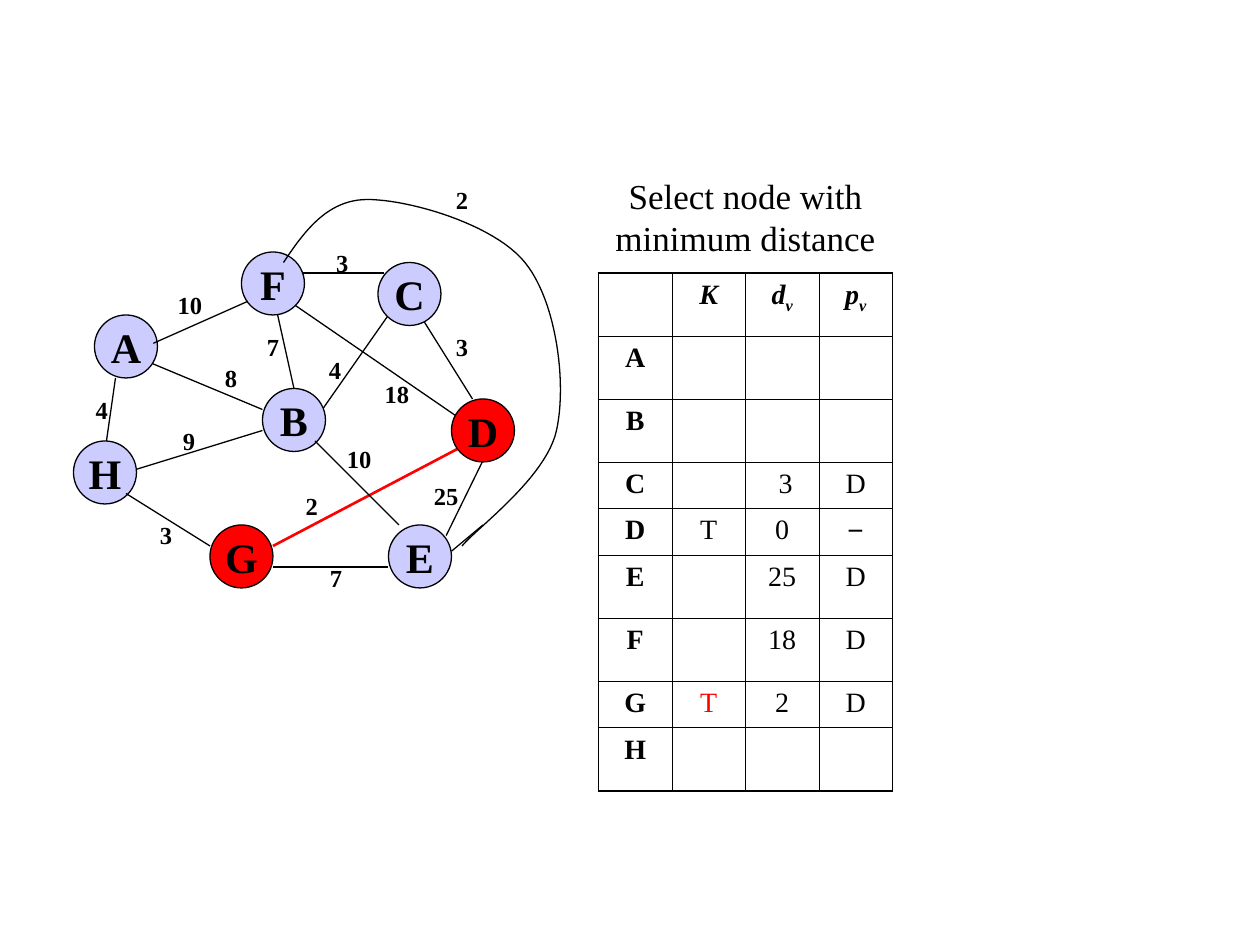
from lxml import etree
from pptx import Presentation
from pptx import util as u
from pptx.dml.color import RGBColor
from pptx.enum import shapes, text
from pptx.oxml.ns import qn

BLACK = RGBColor(0x00, 0x00, 0x00)
RED = RGBColor(0xFF, 0x00, 0x00)
LILAC = RGBColor(0xCC, 0xCC, 0xFF)
SERIF = "Times New Roman"

WIDTH, HEIGHT = u.Inches(10), u.Inches(7.5)
UNIT = WIDTH / 120
NODE = 6
THIN, THICK = 0.45, 1.08

NODES = {
    "A": (9, 30), "H": (7, 42), "B": (25, 37), "F": (23, 24),
    "E": (37, 50), "D": (43, 38), "C": (36, 25), "G": (20, 50),
}
CHOSEN = "DG"
BACK_EDGES = [
    (47.4, 41, 42.5, 51), (26, 28, 28, 37), (30, 40, 37, 30),
    (44, 40, 28, 29), (12, 45, 25, 41), (10, 43, 11, 36),
    (13, 34, 25, 39), (28.5, 26, 36.6, 26), (40, 30, 45, 38),
]
CHOSEN_EDGE = (26, 52, 45, 42)
FRONT_EDGES = [
    (30, 42, 38, 50), (37, 54, 26, 54), (20, 52, 12, 47),
    (14.6, 32.7, 23.6, 28.7), (46, 50, 43, 52.5),
]
WEIGHTS = [
    ("4", 7.7, 37), ("25", 39.4, 45.2), ("7", 30, 53), ("2", 27.7, 46.2),
    ("10", 31.1, 41.7), ("18", 34.7, 35.5), ("3", 42, 31), ("4", 29.9, 33.2),
    ("3", 30.6, 23), ("7", 24, 31), ("8", 20, 34), ("9", 16, 40),
    ("3", 13.8, 48.9), ("10", 15, 27), ("2", 42, 17),
]
CURVE_START = (27, 25)
CURVE = [
    ((29, 22), (31.2, 19), (35, 19)),
    ((38.9, 19), (47, 21.3), (50, 25)),
    ((53, 28.7), (54, 36.5), (53, 41)),
    ((52, 45.5), (45.5, 50.2), (44, 52)),
]
ROWS = [
    ("", "K", "dv", "pv"),
    ("A", "", "", ""),
    ("B", "", "", ""),
    ("C", "", " 3", "D"),
    ("D", "T", "0", "−"),
    ("E", "", "25", "D"),
    ("F", "", "18", "D"),
    ("G", "T", "2", "D"),
    ("H", "", "", ""),
]
SHORT_ROWS = "CDG"


def grid(*values):
    return [u.Emu(round(v * UNIT)) for v in values]


def set_all(obj, values):
    for name, value in values.items():
        setattr(obj, name, value)


def add_run(p, words, size, color=BLACK, name=SERIF, **style):
    r = p.add_run()
    r.text = words
    set_all(r.font, {"size": u.Pt(size), "name": name, **style})
    r.font.color.rgb = color
    return r


def center(p, before):
    set_all(p, {"alignment": text.PP_ALIGN.CENTER, "space_before": u.Pt(before)})


def add_label(s, words, box, size, before, bold):
    tf = s.shapes.add_textbox(*grid(*box)).text_frame
    tf.word_wrap = True
    center(tf.paragraphs[0], before)
    add_run(tf.paragraphs[0], words, size, bold=bold)


def add_node(s, name, x, y):
    sp = s.shapes.add_shape(shapes.MSO_SHAPE.OVAL, *grid(x, y, NODE, NODE))
    sp.shadow.inherit = False
    sp.fill.solid()
    sp.fill.fore_color.rgb = RED if name in CHOSEN else LILAC
    sp.line.color.rgb = BLACK
    sp.line.width = u.Pt(0.75)
    tf = sp.text_frame
    set_all(tf, {"word_wrap": False, "vertical_anchor": text.MSO_ANCHOR.MIDDLE})
    center(tf.paragraphs[0], 6)
    add_run(tf.paragraphs[0], name, 24, bold=True)


def add_edge(s, ends, color=BLACK, width=0.75):
    c = s.shapes.add_connector(shapes.MSO_CONNECTOR.STRAIGHT, *grid(*ends))
    c.line.color.rgb = color
    c.line.width = u.Pt(width)
    etree.SubElement(c._element.spPr, qn("a:effectLst"))


def bezier(a, b, c, d, t):
    k = 1 - t
    return [k**3 * w + 3 * k * k * t * x + 3 * k * t * t * y + t**3 * z
            for w, x, y, z in zip(a, b, c, d)]


def add_curve(s, start, segments, steps=24):
    points, here = [], start
    for b, c, d in segments:
        points += [grid(*bezier(here, b, c, d, i / steps)) for i in range(1, steps + 1)]
        here = d
    builder = s.shapes.build_freeform(*grid(*start))
    builder.add_line_segments(points, close=False)
    sp = builder.convert_to_shape()
    sp.shadow.inherit = False
    sp.fill.background()
    sp.line.color.rgb = BLACK
    sp.line.width = u.Pt(0.75)


def set_borders(cell, widths):
    pr = cell._tc.get_or_add_tcPr()
    for i, (side, width) in enumerate(widths.items()):
        ln = etree.Element(qn(f"a:ln{side}"), w=str(u.Pt(width)))
        fill = etree.SubElement(ln, qn("a:solidFill"))
        etree.SubElement(fill, qn("a:srgbClr"), val=str(BLACK))
        pr.insert(i, ln)


def fill_cell(cell, words, row, col):
    p = cell.text_frame.paragraphs[0]
    center(p, 4)
    if not words:
        etree.SubElement(p._p, qn("a:endParaRPr"), sz="1600")
    elif row == 0:
        add_run(p, words[0], 16, bold=True, italic=True)
        if words[1:]:
            r = add_run(p, words[1:], 16, bold=True, italic=True)
            r.font._element.set("baseline", "-25000")
    else:
        color = RED if (ROWS[row][0], col) == ("G", 1) else BLACK
        name = "Arial" if words == "−" else SERIF
        add_run(p, words, 16, color, name, bold=col == 0)


def add_distances(s, x, y, col_width, tall, short):
    heights = [short if row[0] and row[0] in SHORT_ROWS else tall for row in ROWS]
    rows, cols = len(ROWS), len(ROWS[0])
    box = grid(x, y, cols * col_width, sum(heights))
    table = s.shapes.add_table(rows, cols, *box).table
    set_all(table, {"first_row": False, "horz_banding": False})
    for column in table.columns:
        column.width = grid(col_width)[0]
    for i, row in enumerate(ROWS):
        table.rows[i].height = grid(heights[i])[0]
        for j, words in enumerate(row):
            cell = table.cell(i, j)
            cell.fill.background()
            fill_cell(cell, words, i, j)
            outer = {"L": j == 0, "R": j == cols - 1, "T": i == 0, "B": i == rows - 1}
            set_borders(cell, {k: THICK if v else THIN for k, v in outer.items()})


def main():
    prs = Presentation()
    set_all(prs, {"slide_width": WIDTH, "slide_height": HEIGHT})
    s = prs.slides.add_slide(prs.slide_layouts[6])
    for ends in BACK_EDGES:
        add_edge(s, ends)
    add_edge(s, CHOSEN_EDGE, RED, 1.5)
    for name, (x, y) in NODES.items():
        add_node(s, name, x, y)
    for ends in FRONT_EDGES:
        add_edge(s, ends)
    add_curve(s, CURVE_START, CURVE)
    for words, x, y in WEIGHTS:
        add_label(s, words, (x, y, 4 if len(words) == 1 else 6.2, 4.1), 14, 8.7, True)
    add_label(s, "Select node with minimum distance", (52, 16, 38, 9.2), 20, 12.5, False)
    add_distances(s, 57, 26, 7, 6, 4.44)
    prs.save("out.pptx")


if __name__ == "__main__":
    main()
